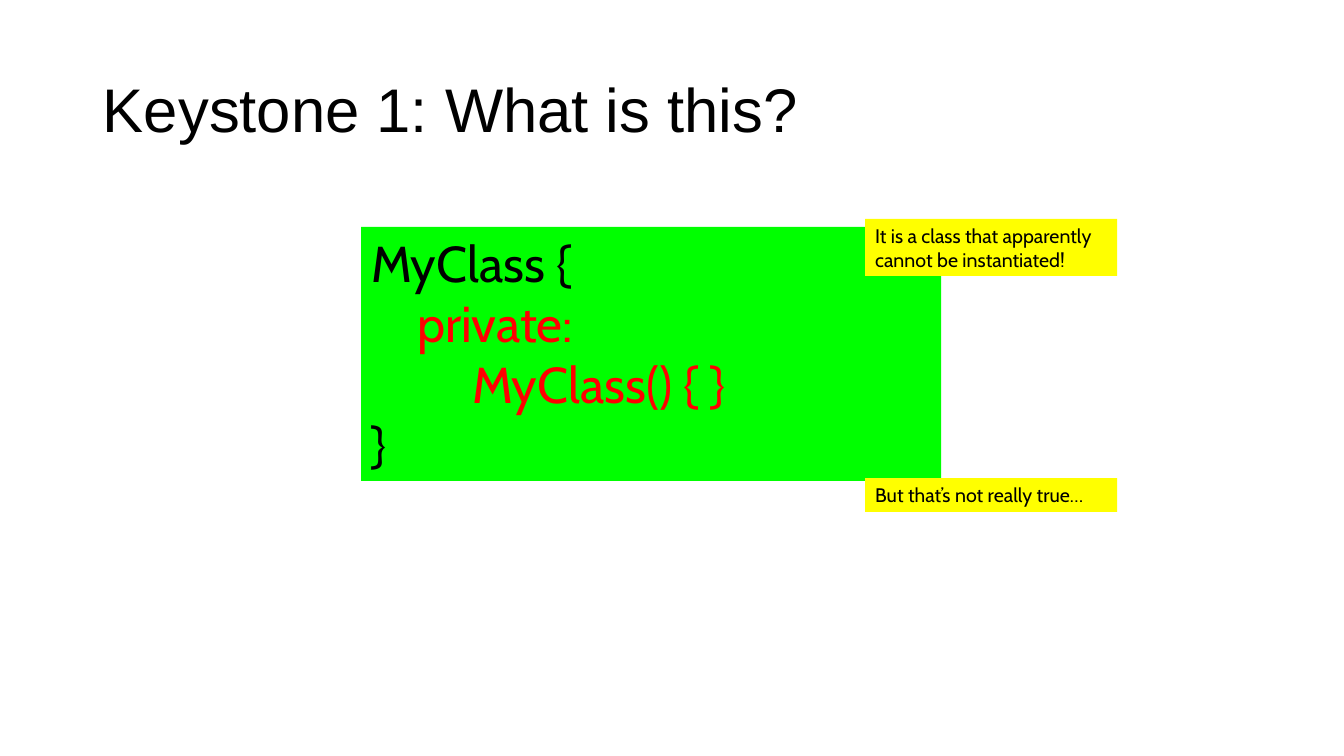
from pptx import Presentation, util as u
from pptx.dml.color import RGBColor
from pptx.enum import shapes, text

PIXEL = u.Inches(1) / 100.8
COLORS = {"black": "000000", "red": "FF0000", "green": "00FF00", "yellow": "FFFF00"}
CODE_LINES = [
    ("MyClass {", "black", 0),
    ("private:", "red", 46),
    ("MyClass() { }", "red", 101),
    ("}", "black", 0),
]


def px(length):
    return u.Emu(round(length * PIXEL))


def color(name):
    return RGBColor.from_string(COLORS[name])


def write_lines(shape, lines, font_name, size, anchor):
    frame = shape.text_frame
    frame.word_wrap = True
    frame.vertical_anchor = anchor
    frame.text = "\n".join(line for line, _, _ in lines)
    for paragraph, (_, color_name, indent) in zip(frame.paragraphs, lines):
        paragraph.alignment = text.PP_ALIGN.LEFT
        if indent:
            paragraph._p.get_or_add_pPr().set("marL", str(px(indent)))
        for run in paragraph.runs:
            run.font.name = font_name
            run.font.size = u.Pt(size)
            run.font.color.rgb = color(color_name)


def add_title(slide, title, left, top, width, height):
    shape = slide.shapes.add_textbox(px(left), px(top), px(width), px(height))
    write_lines(shape, [(title, "black", 0)], "Arial", 44, text.MSO_ANCHOR.MIDDLE)
    shape.text_frame.paragraphs[0].line_spacing = 0.9


def add_box(slide, lines, fill, size, left, top, width, height):
    shape = slide.shapes.add_shape(
        shapes.MSO_SHAPE.RECTANGLE, px(left), px(top), px(width), px(height))
    shape.shadow.inherit = False
    shape.fill.solid()
    shape.fill.fore_color.rgb = color(fill)
    shape.line.fill.background()
    write_lines(shape, lines, "Cabin", size, text.MSO_ANCHOR.TOP)


def add_note(slide, note, top, height):
    add_box(slide, [(note, "black", 0)], "yellow", 14, 865, top, 252, height)


def main():
    presentation = Presentation()
    presentation.slide_width = u.Inches(13.33)
    presentation.slide_height = u.Inches(7.5)
    slide = presentation.slides.add_slide(presentation.slide_layouts[6])
    add_title(slide, "Keystone 1: What is this?", 93, 40, 1159, 146)
    add_box(slide, CODE_LINES, "green", 36, 361, 227, 580, 254)
    add_note(slide, "It is a class that apparently cannot be instantiated!", 219, 57)
    add_note(slide, "But that’s not really true…", 478, 34)
    presentation.save("out.pptx")


main()
